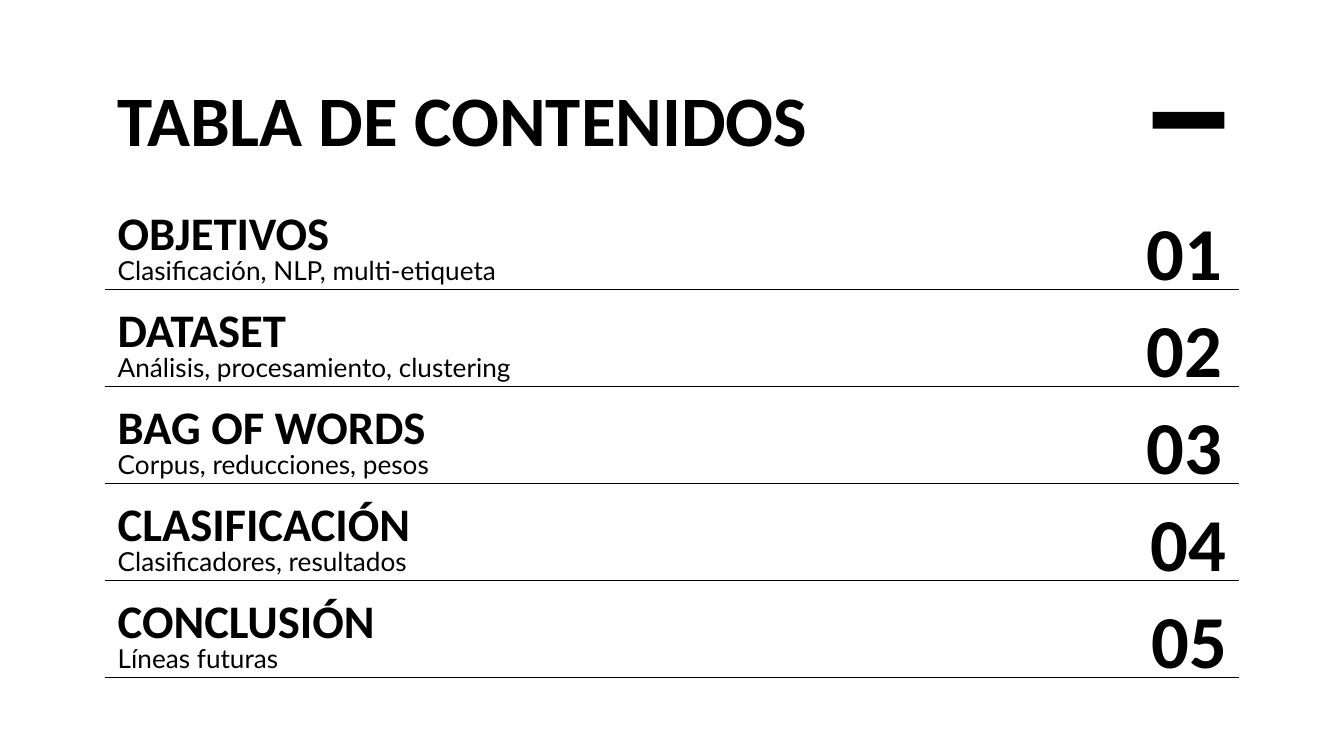
from lxml import etree
from pptx import Presentation
from pptx.dml.color import RGBColor
from pptx.enum.shapes import MSO_CONNECTOR, MSO_SHAPE
from pptx.enum.text import MSO_ANCHOR, PP_ALIGN
from pptx.oxml.ns import qn
from pptx.util import Pt

BLACK = RGBColor(0, 0, 0)
LEFT, RIGHT = PP_ALIGN.LEFT, PP_ALIGN.RIGHT
TOP, MIDDLE = MSO_ANCHOR.TOP, MSO_ANCHOR.MIDDLE
RECTANGLE, STRAIGHT = MSO_SHAPE.RECTANGLE, MSO_CONNECTOR.STRAIGHT

TITLE = dict(name="Calibri", size=Pt(38), bold=True)
HEADING = dict(name="Calibri", size=Pt(25), bold=True)
DETAIL = dict(name="Lato", size=Pt(14), bold=False)
NUMBER = dict(name="Calibri", size=Pt(40), bold=True)

MARGIN, LINE_END = 56, 664
FIRST_ROW, ROW_PITCH = 102, 52

SECTIONS = [
    ("OBJETIVOS", "Clasificación, NLP, multi-etiqueta", 574),
    ("DATASET", "Análisis, procesamiento, clustering", 574),
    ("BAG OF WORDS", "Corpus, reducciones, pesos", 574),
    ("CLASIFICACIÓN", "Clasificadores, resultados", 576),
    ("CONCLUSIÓN", "Líneas futuras", 576.5),
]


def add_text(s, text, x, y, w, h, style, align=LEFT, anchor=TOP):
    sp = s.shapes.add_textbox(Pt(x), Pt(y), Pt(w), Pt(h))
    tf = sp.text_frame
    frame = dict(word_wrap=True, vertical_anchor=anchor, margin_left=Pt(7.2),
                 margin_right=Pt(7.2), margin_top=Pt(7.2), margin_bottom=Pt(7.2))
    for key, value in frame.items():
        setattr(tf, key, value)
    p = tf.paragraphs[0]
    p.alignment = align
    r = p.add_run()
    r.text = text
    for key, value in style.items():
        setattr(r.font, key, value)
    r.font.color.rgb = BLACK


def add_bar(s, x, y, w, h):
    sp = s.shapes.add_shape(RECTANGLE, Pt(x), Pt(y), Pt(w), Pt(h))
    sp.shadow.inherit = False
    sp.fill.solid()
    sp.fill.fore_color.rgb = BLACK
    sp.line.fill.background()


def add_rule(s, y):
    line = s.shapes.add_connector(STRAIGHT, Pt(MARGIN), Pt(y), Pt(LINE_END), Pt(y))
    line.line.color.rgb = BLACK
    line.line.width = Pt(0.75)
    etree.SubElement(line._element.spPr, qn("a:effectLst"))


def add_section(s, index, heading, detail, number_x):
    y = FIRST_ROW + index * ROW_PITCH
    add_text(s, heading, MARGIN, y, 484.5, 29, HEADING)
    add_text(s, detail, MARGIN, y + 27, 484.5, 14.5, DETAIL)
    add_text(s, f"{index + 1:02d}", number_x, y + 1, 88, 47, NUMBER, RIGHT)
    add_rule(s, y + 53)


def main():
    prs = Presentation()
    prs.slide_width, prs.slide_height = Pt(720), Pt(405)
    s = prs.slides.add_slide(prs.slide_layouts[6])
    add_text(s, "TABLA DE CONTENIDOS", MARGIN, 43, 607, 41, TITLE, anchor=MIDDLE)
    add_bar(s, 617.5, 60, 38.5, 9)
    for index, section in enumerate(SECTIONS):
        add_section(s, index, *section)
    prs.save("out.pptx")


if __name__ == "__main__":
    main()
